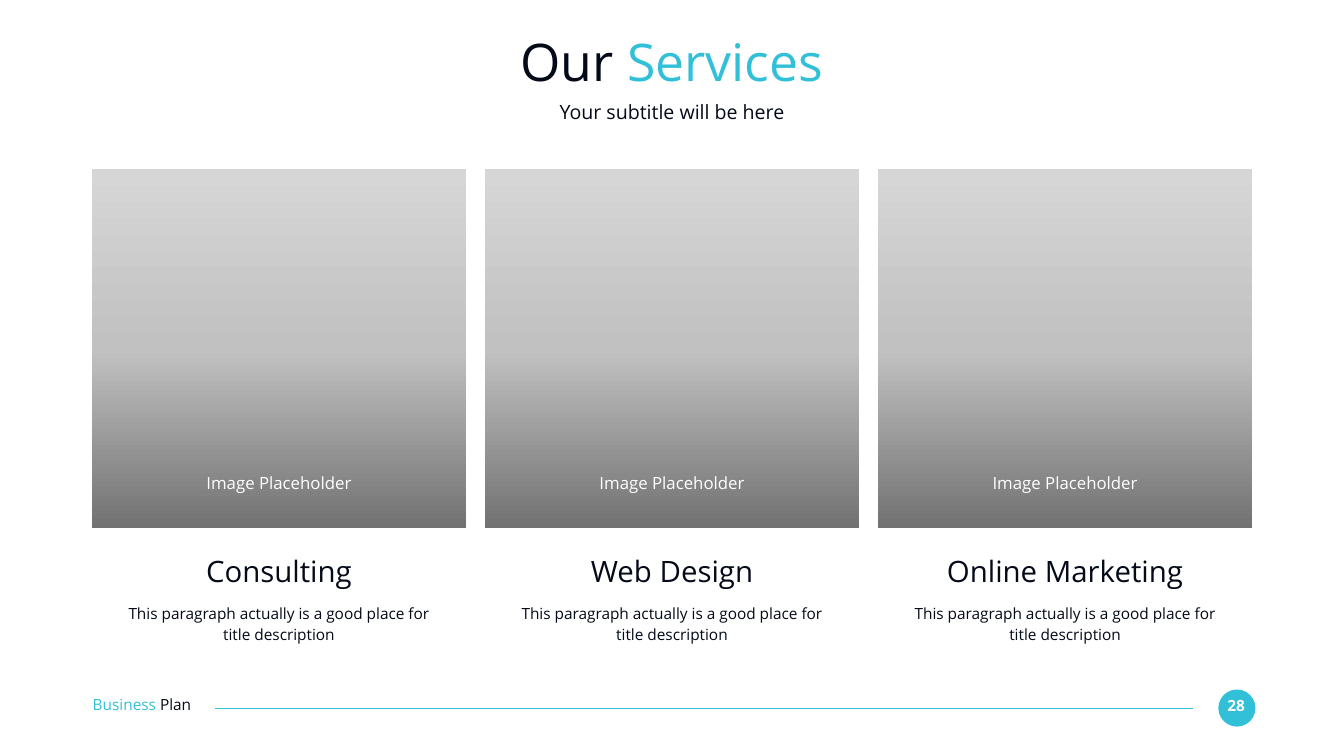
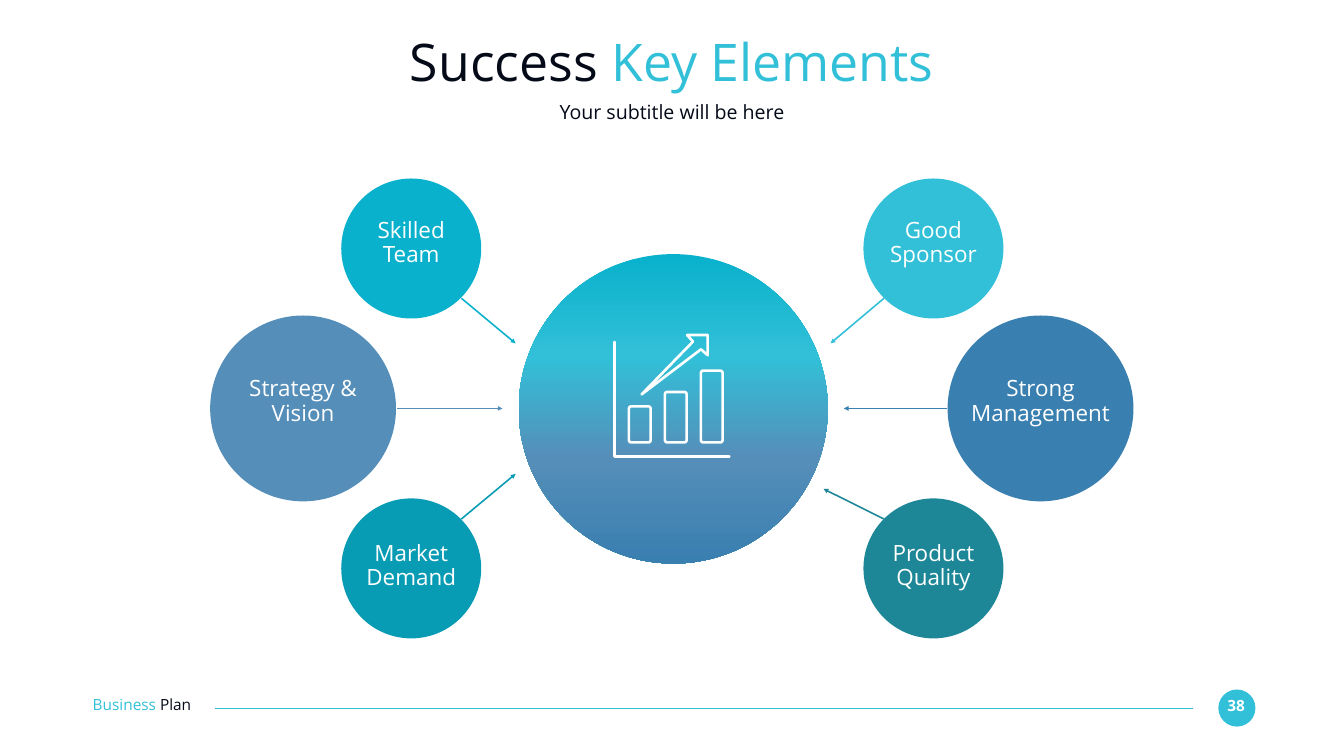
from lxml.etree import SubElement
from pptx import Presentation
from pptx.dml.color import RGBColor
from pptx.enum.shapes import MSO_CONNECTOR, MSO_SHAPE
from pptx.enum.text import PP_ALIGN
from pptx.oxml.ns import qn
from pptx.util import Pt

FONT = "Open Sans"
INK = RGBColor(0x05, 0x0A, 0x19)
WHITE = RGBColor(0xFF, 0xFF, 0xFF)
AQUA = RGBColor(0x32, 0xC0, 0xD8)
CYAN = RGBColor(0x09, 0xB1, 0xCC)
TEAL = RGBColor(0x08, 0x9B, 0xB4)
PINE = RGBColor(0x1D, 0x86, 0x97)
STEEL = RGBColor(0x55, 0x8E, 0xB9)
BLUE = RGBColor(0x39, 0x7F, 0xB0)
GREYS = [(0, RGBColor(0x72, 0x72, 0x72)), (50, RGBColor(0xC1, 0xC1, 0xC1)),
         (100, RGBColor(0xD6, 0xD6, 0xD6))]
BLUES = [(0, CYAN), (33, AQUA), (66, STEEL), (100, BLUE)]


class Deck:
    def __init__(self):
        self.prs = Presentation()
        self.prs.slide_width, self.prs.slide_height = Pt(1920), Pt(1080)
        self.slide = None

    def page(self, number, lead, accent):
        """Start a slide with its title, subtitle and footer."""
        self.slide = self.prs.slides.add_slide(self.prs.slide_layouts[6])
        # Footer
        self.shape(MSO_SHAPE.OVAL, 1740.5, 985, 53, 53, AQUA)
        self.text(1744.5, 997, 42.5, 27, [(str(number), WHITE)], 22, bold=True)
        self.line((1704.5, 1011.5), (307.5, 1011.5), AQUA, 1.5)
        self.text(132.5, 996.5, 186.5, 27,
                  [("Business ", AQUA), ("Plan", INK)], 22, PP_ALIGN.LEFT)
        # Heading
        self.text(132, 52.5, 1656, 91.5, [(lead, INK), (accent, AQUA)], 74)
        self.text(132, 146, 1656, 35.5, [("Your subtitle will be here", INK)], 28)

    def text(self, x, y, w, h, parts, size, align=PP_ALIGN.CENTER,
             space=0.9, bold=False):
        """Each part is (text, colour); a newline starts a new paragraph."""
        frame = self.slide.shapes.add_textbox(Pt(x), Pt(y), Pt(w), Pt(h)).text_frame
        frame.word_wrap = True
        frame.margin_left = frame.margin_right = 0
        frame.margin_top = frame.margin_bottom = 0
        para = frame.paragraphs[0]
        for words, color in parts:
            for i, row in enumerate(words.split("\n")):
                if i:
                    para = frame.add_paragraph()
                run = para.add_run()
                run.text = row
                font = run.font
                font.name, font.size, font.bold = FONT, Pt(size), bold
                font.color.rgb = color
        for para in frame.paragraphs:
            para.alignment, para.line_spacing = align, space

    def shape(self, kind, x, y, w, h, color):
        item = self.slide.shapes.add_shape(kind, Pt(x), Pt(y), Pt(w), Pt(h))
        item.shadow.inherit = False
        item.fill.solid()
        item.fill.fore_color.rgb = color
        item.line.fill.background()
        return item

    def blend(self, item, stops, angle):
        """Fill a shape with a gradient; the angle runs counter-clockwise."""
        item.fill.gradient()
        item.fill.gradient_angle = angle
        stop_list = item.element.spPr.find(qn("a:gradFill")).find(qn("a:gsLst"))
        for old in list(stop_list):
            stop_list.remove(old)
        for place, color in stops:
            stop = SubElement(stop_list, qn("a:gs"), pos=str(place * 1000))
            SubElement(stop, qn("a:srgbClr"), val=str(color))

    def line(self, start, end, color, width, arrow=False):
        ends = [Pt(v) for v in (*start, *end)]
        item = self.slide.shapes.add_connector(MSO_CONNECTOR.STRAIGHT, *ends)
        item.line.color.rgb = color
        item.line.width = Pt(width)
        if arrow:
            SubElement(item.line._get_or_add_ln(), qn("a:tailEnd"), type="triangle")
        SubElement(item.element.spPr, qn("a:effectLst"))

    def stroke(self, item):
        """Turn a shape into a white outline with round ends and joins."""
        item.shadow.inherit = False
        item.fill.background()
        item.line.color.rgb = WHITE
        item.line.width = Pt(3.75)
        edge = item.line._get_or_add_ln()
        edge.set("cap", "rnd")
        SubElement(edge, qn("a:round"))

    def path_line(self, points, close):
        first, *rest = [(Pt(x), Pt(y)) for x, y in points]
        pen = self.slide.shapes.build_freeform(*first)
        pen.add_line_segments(rest, close=close)
        self.stroke(pen.convert_to_shape())

    def card(self, x, name):
        pane = self.shape(MSO_SHAPE.RECTANGLE, x, 242, 535, 512.5, WHITE)
        self.blend(pane, GREYS, 90)
        self.text(x + 91, 678, 353, 29, [("Image Placeholder", WHITE)], 24)
        self.text(x + 45, 795.5, 445, 51, [(name, INK)], 42)
        about = "This paragraph actually is a good place for title description"
        self.text(x + 45, 859, 445, 66, [(about, INK)], 22, space=1.15)

    def node(self, name, mid, size, top, color, start, end, width=160.5):
        """Circle around a centre, its label, and its arrow to the hub."""
        x, y = mid
        self.shape(MSO_SHAPE.OVAL, x - size / 2, y - size / 2, size, size, color)
        self.line(start, end, color, 2.25, arrow=True)
        self.text(x - width / 2, top, width, 78, [(name, WHITE)], 32)

    def chart_icon(self):
        # Axes
        self.path_line([(878, 488.5), (878, 652), (1042, 652)], False)
        # Bars
        base = 632
        for i, top in enumerate((580.5, 560, 529.5)):
            bar = self.slide.shapes.add_shape(
                MSO_SHAPE.ROUNDED_RECTANGLE, Pt(898.5 + 51.4 * i), Pt(top),
                Pt(31), Pt(base - top))
            bar.adjustments[0] = 0.1
            self.stroke(bar)
        # Rising arrow
        self.path_line([(916.5, 563.5), (990, 488), (981.5, 478.5),
                        (1011, 478.5), (1011, 507.5), (1001.5, 499)], True)


def main():
    deck = Deck()

    # Services
    deck.page(28, "Our ", "Services")
    for i, name in enumerate(("Consulting", "Web Design", "Online Marketing")):
        deck.card(131 + 561.5 * i, name)

    # Key elements
    deck.page(38, "Success ", "Key Elements")
    small, large = 200, 265.5
    left, right = 587.5, 1333.5
    high, middle, low = 355, 583.5, 812
    deck.node("Skilled Team", (left, high), small, 312.5, CYAN,
              (659, 426), (736.5, 490.5))
    deck.node("Strategy & Vision", (433, middle), large, 539.5, STEEL,
              (566.5, middle), (718, middle))
    deck.node("Market Demand", (left, low), small, 774, TEAL,
              (659, 741.5), (736.5, 677))
    deck.node("Good Sponsor", (right, high), small, 312.5, AQUA,
              (1263, 426), (1186.5, 490.5))
    deck.node("Strong\nManagement", (1486.5, middle), large, 539.5, BLUE,
              (1353.5, middle), (1205.5, middle), 209.5)
    deck.node("Product Quality", (right, low), small, 774, PINE,
              (1263, 741.5), (1176.5, 698.5))
    hub = deck.shape(MSO_SHAPE.OVAL, 741, 363, 441.5, 442, CYAN)
    deck.blend(hub, BLUES, 270)
    deck.chart_icon()

    deck.prs.save("out.pptx")


if __name__ == "__main__":
    main()
